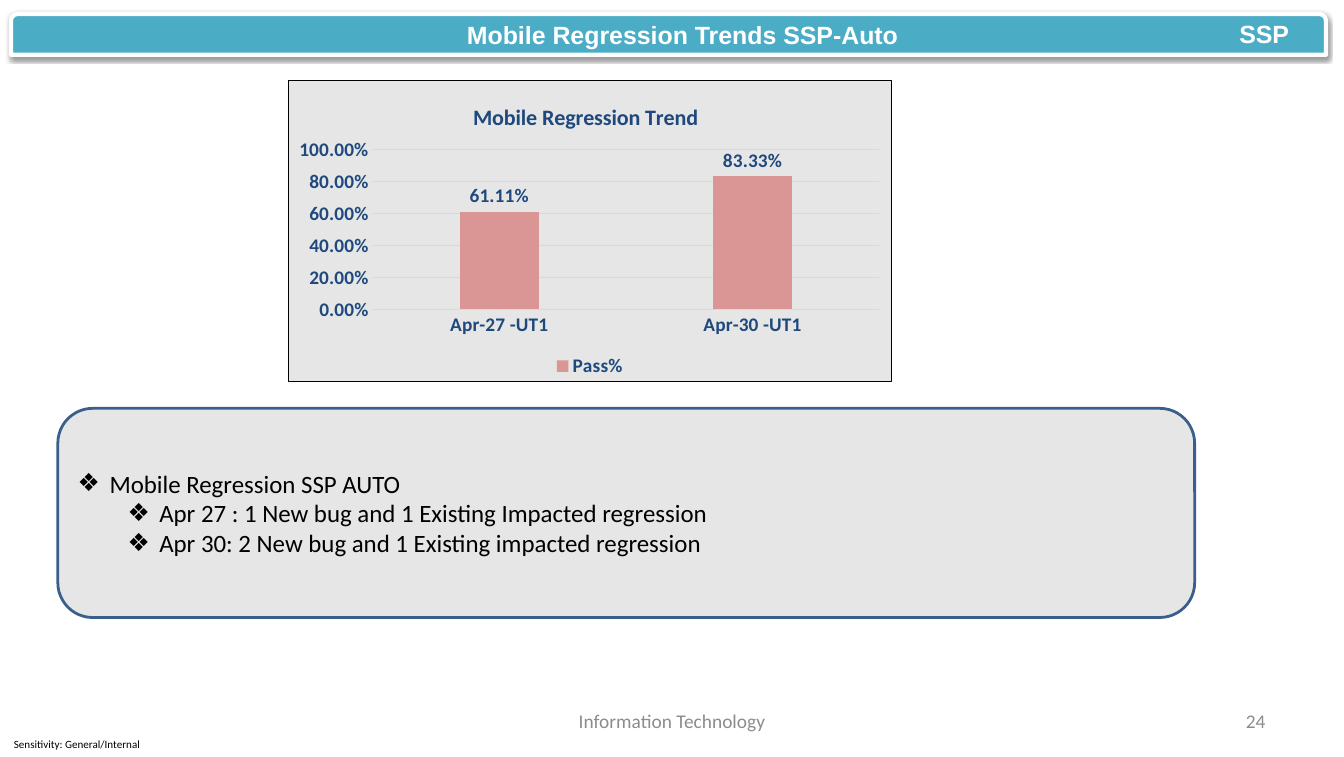
from lxml import etree
from pptx import Presentation
from pptx import util as u
from pptx.chart import data as chart_data
from pptx.dml import color
from pptx.enum import chart as chart_enum
from pptx.enum import shapes, text
from pptx.oxml import ns

COLORS = {
    "white": "FFFFFF", "black": "000000", "teal": "4BACC6", "panel": "E6E6E6",
    "outline": "3A5F8C", "muted": "8C8C8C", "navy": "1F497D", "grid": "D9D9D9",
    "bar": "D99694",
}
SLIDE_SIZE = (972, 547.2)
TITLE = ("Mobile Regression Trends SSP-Auto", (330.5, 10.8, 404, 29.5))
BANNER_BOX = (7.9, 10.1, 951.1, 29.5)
PANEL_BOX = (41.8, 295.2, 822.2, 151.2)
CHART_BOX = (208.1, 57.6, 437, 218.9)
BULLETS = [
    (0, "Mobile Regression SSP AUTO"),
    (1, "Apr 27 : 1 New bug and 1 Existing Impacted regression"),
    (1, "Apr 30: 2 New bug and 1 Existing impacted regression"),
]
BULLET_HANG, LEVEL_STEP = 23, 36
LEFT, CENTER, RIGHT = text.PP_ALIGN.LEFT, text.PP_ALIGN.CENTER, text.PP_ALIGN.RIGHT
LABELS = [
    ("SSP", (889.2, 9.4, 52, 29.5), "Arial", 18, "white", True, LEFT, 7.2),
    ("Information Technology", (331.9, 506.9, 308.2, 28.8), "Calibri", 14, "muted", False, CENTER, 8.6),
    ("24", (697, 506.9, 226.8, 28.8), "Calibri", 14, "muted", False, RIGHT, 8.6),
    ("Sensitivity: General/Internal", (0, 529.2, 111.6, 18), "Calibri", 8, "black", False, LEFT, 10),
]
CHART_TITLE = "Mobile Regression Trend"
SERIES_NAME = "Pass%"
PASS_RATES = {"Apr-27 -UT1": 0.6111, "Apr-30 -UT1": 0.8333}
PERCENT = "0.00%"
PLOT_LAYOUT = {"layoutTarget": "inner", "xMode": "edge", "yMode": "edge",
               "x": 0.14, "y": 0.23, "w": 0.84, "h": 0.53}
TITLE_LAYOUT = {"xMode": "edge", "yMode": "edge", "x": 0.3, "y": 0.06}


def rgb(name):
    return color.RGBColor.from_string(COLORS[name])


def points(box):
    return [u.Pt(value) for value in box]


def place(shape, box):
    shape.left, shape.top, shape.width, shape.height = points(box)


def style_font(font, name, size, color_name, bold):
    font.name, font.size, font.bold = name, u.Pt(size), bold
    font.color.rgb = rgb(color_name)


def style_line(line, color_name, width):
    line.color.rgb = rgb(color_name)
    line.width = u.Pt(width)


def set_frame(frame, anchor, side_inset):
    frame.word_wrap = True
    frame.auto_size = text.MSO_AUTO_SIZE.NONE
    frame.vertical_anchor = anchor
    frame.margin_left = frame.margin_right = u.Pt(side_inset)
    frame.margin_top = frame.margin_bottom = u.Pt(3.6)


def add_panel(slide, kind, box, fill, line, width):
    shape = slide.shapes.add_shape(kind, *points(box))
    shape.shadow.inherit = False
    shape.fill.solid()
    shape.fill.fore_color.rgb = rgb(fill)
    style_line(shape.line, line, width)
    return shape


def add_drop_shadow(shape):
    effects = shape.element.spPr.find(ns.qn("a:effectLst"))
    shadow = etree.SubElement(effects, ns.qn("a:outerShdw"), blurRad=str(u.Pt(3.1)),
                              dist=str(u.Pt(1.6)), dir="5400000", rotWithShape="0")
    tint = etree.SubElement(shadow, ns.qn("a:srgbClr"), val=COLORS["black"])
    etree.SubElement(tint, ns.qn("a:alpha"), val="38000")


def set_layout(owner, position, values):
    layout = owner.find(ns.qn("c:layout"))
    if layout is None:
        layout = etree.Element(ns.qn("c:layout"))
        owner.insert(position, layout)
    manual = etree.SubElement(layout, ns.qn("c:manualLayout"))
    for tag, value in values.items():
        etree.SubElement(manual, ns.qn("c:" + tag), val=str(value))


def frame_chart(chart):
    properties = etree.Element(ns.qn("c:spPr"))
    line = etree.Element(ns.qn("a:ln"), w=str(u.Pt(0.75)))
    for parent, name in ((properties, "panel"), (line, "black")):
        fill = etree.SubElement(parent, ns.qn("a:solidFill"))
        etree.SubElement(fill, ns.qn("a:srgbClr"), val=COLORS[name])
    properties.append(line)
    chart.element.find(ns.qn("c:txPr")).addprevious(properties)


def add_pass_chart(slide):
    data = chart_data.CategoryChartData(number_format=PERCENT)
    data.categories = list(PASS_RATES)
    data.add_series(SERIES_NAME, list(PASS_RATES.values()))
    chart = slide.shapes.add_chart(chart_enum.XL_CHART_TYPE.COLUMN_CLUSTERED,
                                   *points(CHART_BOX), data).chart
    style_font(chart.font, "Calibri", 14, "navy", True)
    frame_chart(chart)

    chart.has_title = True
    heading = chart.chart_title.text_frame
    heading.text = CHART_TITLE
    style_font(heading.paragraphs[0].font, "Calibri", 16, "navy", True)
    set_layout(chart.chart_title.element, 1, TITLE_LAYOUT)
    set_layout(chart.element.find(".//" + ns.qn("c:plotArea")), 0, PLOT_LAYOUT)

    chart.has_legend = True
    chart.legend.position = chart_enum.XL_LEGEND_POSITION.BOTTOM
    chart.legend.include_in_layout = False
    style_font(chart.legend.font, "Calibri", 14, "navy", True)

    for axis in (chart.category_axis, chart.value_axis):
        axis.major_tick_mark = axis.minor_tick_mark = chart_enum.XL_TICK_MARK.NONE
        style_font(axis.tick_labels.font, "Calibri", 14, "navy", True)
    style_line(chart.category_axis.format.line, "grid", 0.75)
    values = chart.value_axis
    values.minimum_scale, values.maximum_scale, values.major_unit = 0, 1, 0.2
    values.format.line.fill.background()
    style_line(values.major_gridlines.format.line, "grid", 0.75)
    values.tick_labels.number_format = PERCENT
    values.tick_labels.number_format_is_linked = False

    plot = chart.plots[0]
    plot.gap_width, plot.overlap, plot.vary_by_categories = 219, -27, False
    series = plot.series[0]
    series.format.fill.solid()
    series.format.fill.fore_color.rgb = rgb("bar")
    labels = series.data_labels
    labels.show_value = True
    labels.position = chart_enum.XL_LABEL_POSITION.OUTSIDE_END
    labels.number_format = PERCENT
    labels.number_format_is_linked = False
    style_font(labels.font, "Calibri", 14, "navy", True)


def fill_bullets(frame):
    for index, (level, line) in enumerate(BULLETS):
        paragraph = frame.paragraphs[0] if index == 0 else frame.add_paragraph()
        paragraph.text, paragraph.level = line, level
        paragraph.alignment = LEFT
        paragraph.space_before = u.Pt(0)
        properties = paragraph._p.get_or_add_pPr()
        properties.set("marL", str(u.Pt(BULLET_HANG + level * LEVEL_STEP)))
        properties.set("indent", str(-u.Pt(BULLET_HANG)))
        etree.SubElement(properties, ns.qn("a:buChar"), char="❖")
        style_font(paragraph.font, "Calibri", 18, "black", False)


def main():
    presentation = Presentation()
    presentation.slide_width, presentation.slide_height = points(SLIDE_SIZE)
    slide = presentation.slides.add_slide(presentation.slide_layouts[1])
    title, body = slide.shapes.title, slide.placeholders[1]

    banner = add_panel(slide, shapes.MSO_SHAPE.ROUND_2_SAME_RECTANGLE, BANNER_BOX, "teal", "white", 3)
    add_drop_shadow(banner)
    add_panel(slide, shapes.MSO_SHAPE.ROUNDED_RECTANGLE, PANEL_BOX, "panel", "outline", 2)

    for placeholder, box in ((title, TITLE[1]), (body, PANEL_BOX)):
        place(placeholder, box)
        placeholder.element.getparent().append(placeholder.element)
    set_frame(title.text_frame, text.MSO_ANCHOR.TOP, 7.2)
    title.text_frame.text = TITLE[0]
    heading = title.text_frame.paragraphs[0]
    heading.alignment = LEFT
    style_font(heading.font, "Arial", 18, "white", True)
    set_frame(body.text_frame, text.MSO_ANCHOR.MIDDLE, 14.4)
    fill_bullets(body.text_frame)

    add_pass_chart(slide)

    for wording, box, font, size, color_name, bold, alignment, inset in LABELS:
        frame = slide.shapes.add_textbox(*points(box)).text_frame
        set_frame(frame, text.MSO_ANCHOR.MIDDLE, inset)
        frame.word_wrap = False
        frame.text = wording
        paragraph = frame.paragraphs[0]
        paragraph.alignment = alignment
        style_font(paragraph.font, font, size, color_name, bold)

    presentation.save("out.pptx")


if __name__ == "__main__":
    main()
